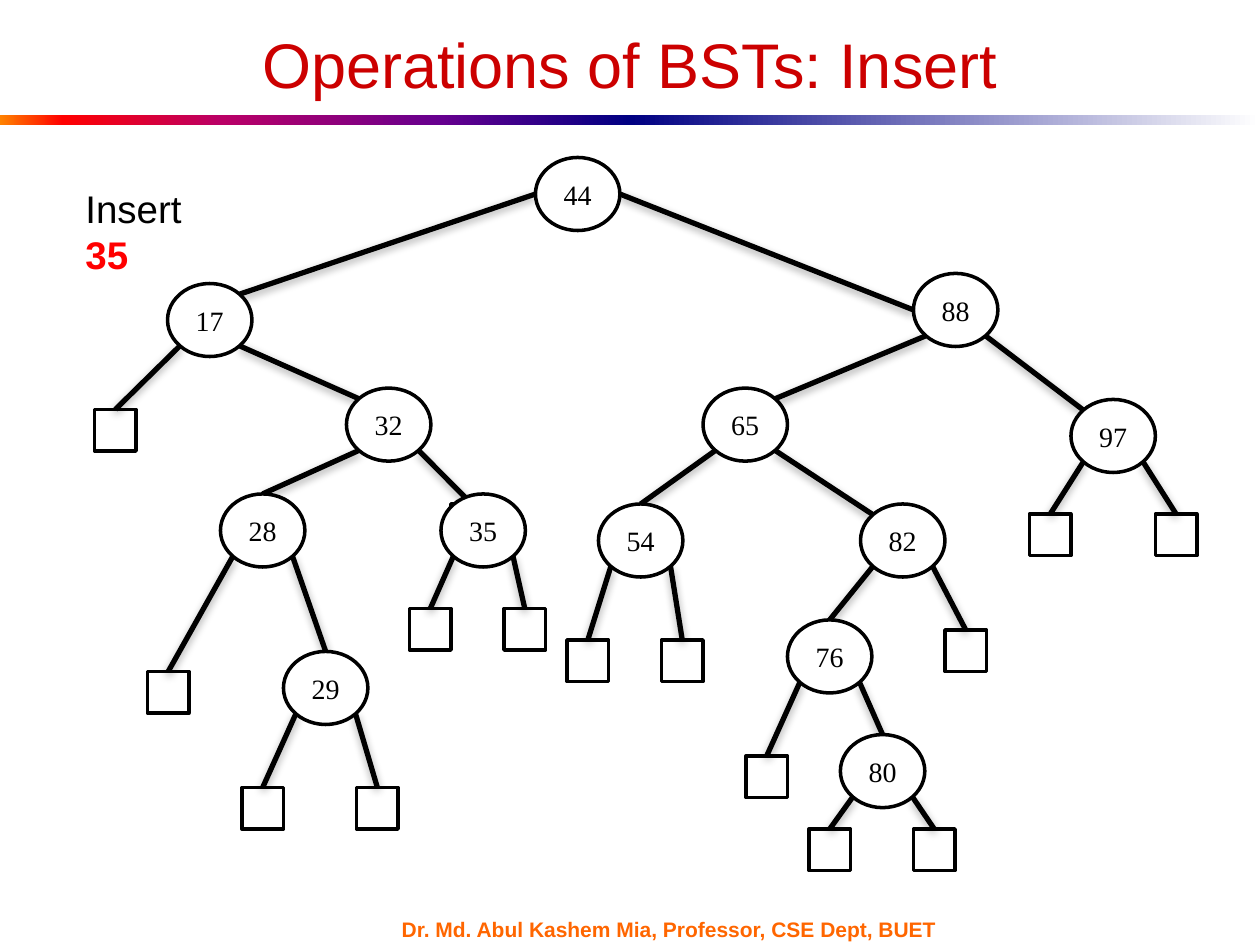
from math import cos, radians, sin

from lxml import etree
from pptx import Presentation
from pptx.dml.color import RGBColor
from pptx.enum.shapes import MSO_CONNECTOR, MSO_SHAPE
from pptx.enum.text import MSO_ANCHOR, PP_ALIGN
from pptx.oxml.ns import qn
from pptx.util import Inches, Pt

OVAL, RECTANGLE = MSO_SHAPE.OVAL, MSO_SHAPE.RECTANGLE
STRAIGHT = MSO_CONNECTOR.STRAIGHT
MIDDLE, CENTER, LEFT = MSO_ANCHOR.MIDDLE, PP_ALIGN.CENTER, PP_ALIGN.LEFT

# Content
TITLE = "Operations of BSTs: Insert"
FOOTER = "Dr. Md. Abul Kashem Mia, Professor, CSE Dept, BUET"
TASK, NEW_KEY = "Insert ", "35"

# Key: left, top of its oval
NODES = {
    44: (4.25, 1.25), 17: (1.33, 2.25), 32: (2.75, 3.08), 28: (1.75, 3.92),
    29: (2.25, 5.17), 88: (7.25, 2.17), 65: (5.58, 3.08), 97: (8.5, 3.17),
    54: (4.75, 4), 82: (6.83, 4), 76: (6.25, 4.92), 80: (6.67, 5.83),
    35: (3.5, 3.92),
}
# Parent, point on its oval, child, point on its oval
BRANCHES = [
    (44, "left", 17, "upper right"), (44, "right", 88, "left"),
    (17, "lower right", 32, "upper left"), (32, "lower left", 28, "top"),
    (28, "lower right", 29, "top"), (88, "lower left", 65, "upper right"),
    (88, "lower right", 97, "upper left"), (65, "lower left", 54, "top"),
    (65, "lower right", 82, "upper left"), (82, "lower left", 76, "top"),
    (76, "lower right", 80, "top"),
]
# Parent, point on its oval, left and top of the empty leaf;
# the new node 35 lies over the right leaf of 32
LEAVES = [
    (17, "lower left", 0.75, 3.25), (32, "lower right", 3.58, 4),
    (28, "lower left", 1.17, 5.33),
    (29, "lower left", 1.92, 6.25), (29, "lower right", 2.83, 6.25),
    (54, "lower left", 4.5, 5.08), (54, "lower right", 5.25, 5.08),
    (97, "lower left", 8.17, 4.08), (97, "lower right", 9.17, 4.08),
    (76, "lower left", 5.92, 6), (82, "lower right", 7.5, 5),
    (80, "lower left", 6.42, 6.58), (80, "lower right", 7.25, 6.58),
    (35, "lower left", 3.25, 4.83), (35, "lower right", 4, 4.83),
]
# Left edge and (position in percent, colour) stops of the rule under the title
RULE = [
    (0, [(0, "FF8200"), (10, "FF0000"), (35, "BA0066"), (70, "66008F"), (100, "000082")]),
    (5, [(0, "000082"), (100, "FFFFFF")]),
]

THEME = {
    "title": ("Arial", 36, "CC0000"), "footer": ("Arial", 12, "FF6600"),
    "task": ("Arial", 22, "000000"), "new key": ("Arial", 22, "FF0000"),
    "node": ("Times New Roman", 16, "000000"),
    "fill": "FFFFFF", "line": "000000", "outline": 2, "branch": 3,
}

# Geometry
NODE_W, NODE_H, LEAF = 0.67, 0.58, 0.33
ANGLES = {"right": 0, "lower right": 45, "lower left": 135, "left": 180,
          "upper left": 225, "top": 270, "upper right": 315}


def color(value):
    return RGBColor.from_string(value)


def style(run, role, bold=False):
    name, size, value = THEME[role]
    run.font.name, run.font.size, run.font.bold = name, Pt(size), bold
    run.font.color.rgb = color(value)


def place(shape, left, top, width, height):
    shape.left, shape.top = Inches(left), Inches(top)
    shape.width, shape.height = Inches(width), Inches(height)


def add_outlined(slide, kind, left, top, width, height):
    shape = slide.shapes.add_shape(
        kind, Inches(left), Inches(top), Inches(width), Inches(height))
    shape.shadow.inherit = False
    shape.fill.solid()
    shape.fill.fore_color.rgb = color(THEME["fill"])
    shape.line.color.rgb = color(THEME["line"])
    shape.line.width = Pt(THEME["outline"])
    return shape


def rim_point(key, side):
    left, top = NODES[key]
    angle = radians(ANGLES[side])
    return (left + NODE_W / 2 * (1 + cos(angle)), top + NODE_H / 2 * (1 + sin(angle)))


def add_branch(slide, start, end):
    branch = slide.shapes.add_connector(STRAIGHT, *map(Inches, start + end))
    branch.line.color.rgb = color(THEME["line"])
    branch.line.width = Pt(THEME["branch"])
    # Soft shadow straight below
    effects = etree.SubElement(branch._element.spPr, qn("a:effectLst"))
    shadow = etree.SubElement(effects, qn("a:outerShdw"), blurRad=str(Pt(5)),
                              dist=str(Pt(1.8)), dir="5400000", rotWithShape="0")
    tint = etree.SubElement(shadow, qn("a:srgbClr"), val=THEME["line"])
    etree.SubElement(tint, qn("a:alpha"), val="35000")
    return branch


def add_rule(slide, left, stops):
    bar = slide.shapes.add_shape(
        RECTANGLE, Inches(left), Inches(0.91), Inches(5), Inches(0.08))
    bar.shadow.inherit = False
    bar.line.fill.background()
    bar.fill.gradient()
    bar.fill.gradient_angle = 0
    stop_list = bar._element.spPr.find(".//" + qn("a:gsLst"))
    for old in list(stop_list):
        stop_list.remove(old)
    for position, value in stops:
        stop = etree.SubElement(stop_list, qn("a:gs"), pos=str(position * 1000))
        etree.SubElement(stop, qn("a:srgbClr"), val=value)


def add_label(slide, left, top, width, height):
    box = slide.shapes.add_textbox(
        Inches(left), Inches(top), Inches(width), Inches(height))
    box.text_frame.word_wrap = True
    box.text_frame.paragraphs[0].alignment = LEFT
    return box.text_frame


def main():
    prs = Presentation()
    prs.slide_width, prs.slide_height = Inches(10), Inches(7.5)
    slide = prs.slides.add_slide(prs.slide_layouts[5])

    # Title and rule
    title = slide.shapes.title
    place(title, 0.5, 0.25, 9, 0.51)
    title.text_frame.text = TITLE
    title.text_frame.vertical_anchor = MIDDLE
    title.text_frame.paragraphs[0].alignment = CENTER
    style(title.text_frame.paragraphs[0].runs[0], "title")
    for left, stops in RULE:
        add_rule(slide, left, stops)

    # Task and footer
    task = add_label(slide, 0.58, 1.42, 1.32, 0.47).paragraphs[0]
    task.text = TASK
    style(task.runs[0], "task")
    new_key = task.add_run()
    new_key.text = NEW_KEY
    style(new_key, "new key", bold=True)

    footer = add_label(slide, 3.09, 7.28, 4.67, 0.18)
    footer.text = FOOTER
    footer.vertical_anchor = MIDDLE
    style(footer.paragraphs[0].runs[0], "footer", bold=True)

    # Empty leaves, each joined to its parent
    for parent, side, left, top in LEAVES:
        leaf = add_outlined(slide, RECTANGLE, left, top, LEAF, LEAF)
        branch = add_branch(slide, rim_point(parent, side), (left + LEAF / 2, top))
        branch.end_connect(leaf, 0)

    # Branches between nodes
    for parent, side, child, child_side in BRANCHES:
        add_branch(slide, rim_point(parent, side), rim_point(child, child_side))

    # Nodes
    for key, (left, top) in NODES.items():
        node = add_outlined(slide, OVAL, left, top, NODE_W, NODE_H)
        node.text_frame.text = str(key)
        node.text_frame.vertical_anchor = MIDDLE
        node.text_frame.paragraphs[0].alignment = CENTER
        style(node.text_frame.paragraphs[0].runs[0], "node")

    prs.save("out.pptx")


if __name__ == "__main__":
    main()
